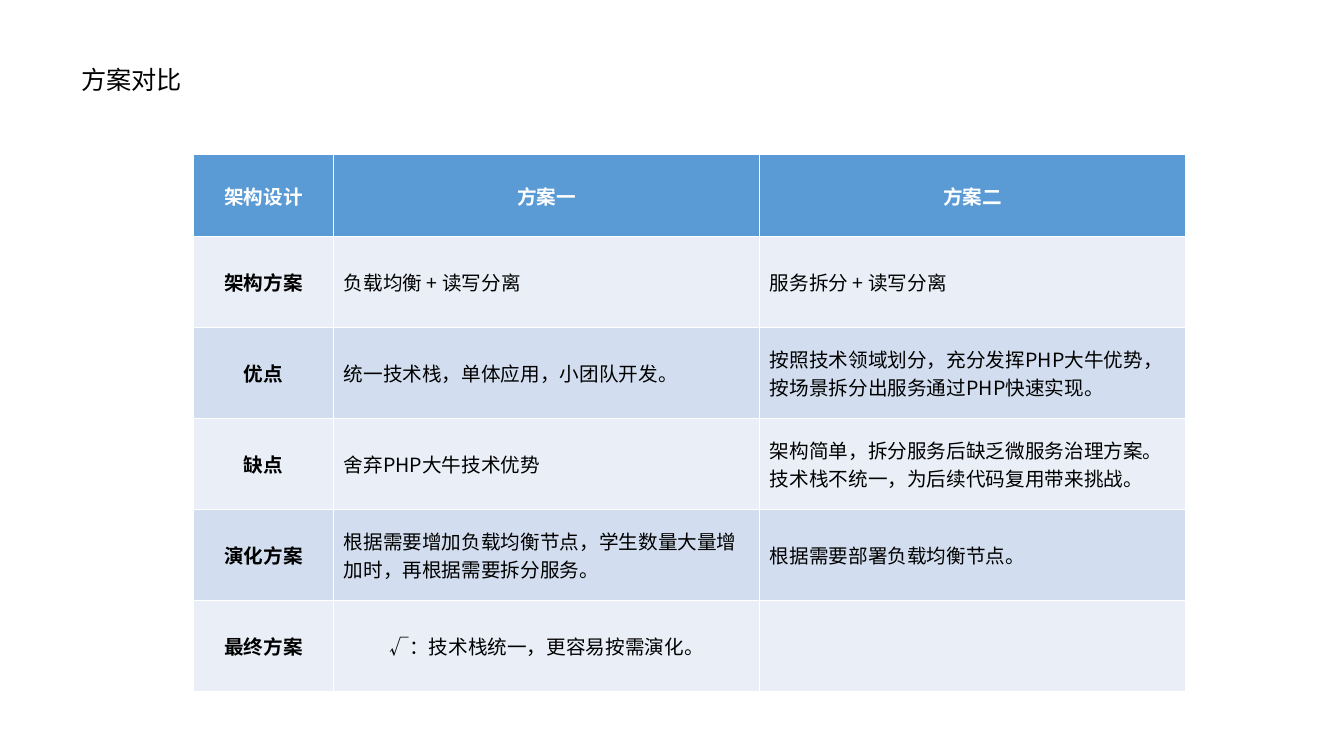
from lxml.etree import SubElement
from pptx import Presentation
from pptx.dml.color import RGBColor
from pptx.enum.text import MSO_ANCHOR as Anchor, MSO_AUTO_SIZE as AutoSize, PP_ALIGN as Align
from pptx.oxml.ns import qn
from pptx.util import Inches, Pt

CJK_FONT = "Noto Sans CJK SC"
WHITE, BLACK = "FFFFFF", "000000"
HEADER_FILL, BAND_FILLS = "5B9BD5", ("EAEFF7", "D2DEEF")


def color(hex_code):
    """Turn a hex string into a colour."""
    return RGBColor.from_string(hex_code)


class SlideBuilder:
    """Holds the style and the current slide; lengths are percent of its size."""

    def __init__(self, deck, cell_size=14, title_size=18):
        """Add a slide with a title placeholder."""
        self.deck, self.cell_size, self.title_size = deck, cell_size, title_size
        self.slide = deck.slides.add_slide(deck.slide_layouts[5])

    def x(self, share):
        """Length across the slide."""
        return int(self.deck.slide_width * share / 100)

    def y(self, share):
        """Length down the slide."""
        return int(self.deck.slide_height * share / 100)

    def text_run(self, paragraph, words, size, ink, font=CJK_FONT, bold=False, align=Align.LEFT):
        """Add one formatted run to a paragraph."""
        paragraph.alignment = align
        run = paragraph.add_run()
        run.text = words
        run.font.size, run.font.name, run.font.bold = Pt(size), font, bold
        run.font.color.rgb = color(ink)
        SubElement(run.font._element, qn("a:ea")).set("typeface", CJK_FONT)

    def title(self, words, left, top, width, height):
        """Place and fill the title placeholder."""
        heading = self.slide.shapes.title
        heading.left, heading.top = self.x(left), self.y(top)
        heading.width, heading.height = self.x(width), self.y(height)
        frame = heading.text_frame
        frame.word_wrap, frame.auto_size = False, AutoSize.SHAPE_TO_FIT_TEXT
        frame.vertical_anchor = Anchor.TOP
        self.text_run(frame.paragraphs[0], words, self.title_size, BLACK, "Calibri")

    def borders(self, cell, ink=WHITE, points=1):
        """Draw a line on all four sides of a cell."""
        properties = cell._tc.get_or_add_tcPr()
        for index, side in enumerate(("a:lnL", "a:lnR", "a:lnT", "a:lnB")):
            line = properties.makeelement(qn(side), {"w": str(Pt(points))})
            fill = SubElement(line, qn("a:solidFill"))
            SubElement(fill, qn("a:srgbClr")).set("val", ink)
            properties.insert(index, line)

    def cell(self, cell, words, fill, **style):
        """Fill one table cell and add its words."""
        cell.fill.solid()
        cell.fill.fore_color.rgb = color(fill)
        cell.vertical_anchor = Anchor.MIDDLE
        self.borders(cell)
        if words:
            self.text_run(cell.text_frame.paragraphs[0], words, self.cell_size, **style)

    def comparison(self, rows, left, top, widths, heights):
        """Build a table with a header row, bold labels and banded rows."""
        table = self.slide.shapes.add_table(
            len(rows), len(widths), self.x(left), self.y(top),
            self.x(sum(widths)), self.y(sum(heights))).table
        for column, width in zip(table.columns, widths):
            column.width = self.x(width)
        for r, (row, height) in enumerate(zip(rows, heights)):
            table.rows[r].height = self.y(height)
            fill = BAND_FILLS[(r - 1) % 2] if r else HEADER_FILL
            for c, words in enumerate(row):
                label = r == 0 or c == 0
                verdict = r == len(rows) - 1 and not label
                self.cell(table.cell(r, c), words, fill,
                          ink=BLACK if r else WHITE, bold=label,
                          font="Arial" if verdict else CJK_FONT,
                          align=Align.CENTER if label or verdict else Align.LEFT)


PLANS = [
    ("架构设计", "方案一", "方案二"),
    ("架构方案", "负载均衡 + 读写分离", "服务拆分 + 读写分离"),
    ("优点", "统一技术栈，单体应用，小团队开发。",
     "按照技术领域划分，充分发挥PHP大牛优势，按场景拆分出服务通过PHP快速实现。"),
    ("缺点", "舍弃PHP大牛技术优势",
     "架构简单，拆分服务后缺乏微服务治理方案。技术栈不统一，为后续代码复用带来挑战。"),
    ("演化方案", "根据需要增加负载均衡节点，学生数量大量增加时，再根据需要拆分服务。",
     "根据需要部署负载均衡节点。"),
    ("最终方案", "√：技术栈统一，更容易按需演化。", ""),
]

deck = Presentation()
deck.slide_width, deck.slide_height = Inches(13.33), Inches(7.5)
page = SlideBuilder(deck)
page.title("方案对比", left=5.3, top=7.9, width=9.1, height=5.4)
page.comparison(PLANS, left=14.4, top=20.45, widths=[10.43, 31.7, 31.7],
                heights=[10.8] + [12.05] * 5)
deck.save("out.pptx")
